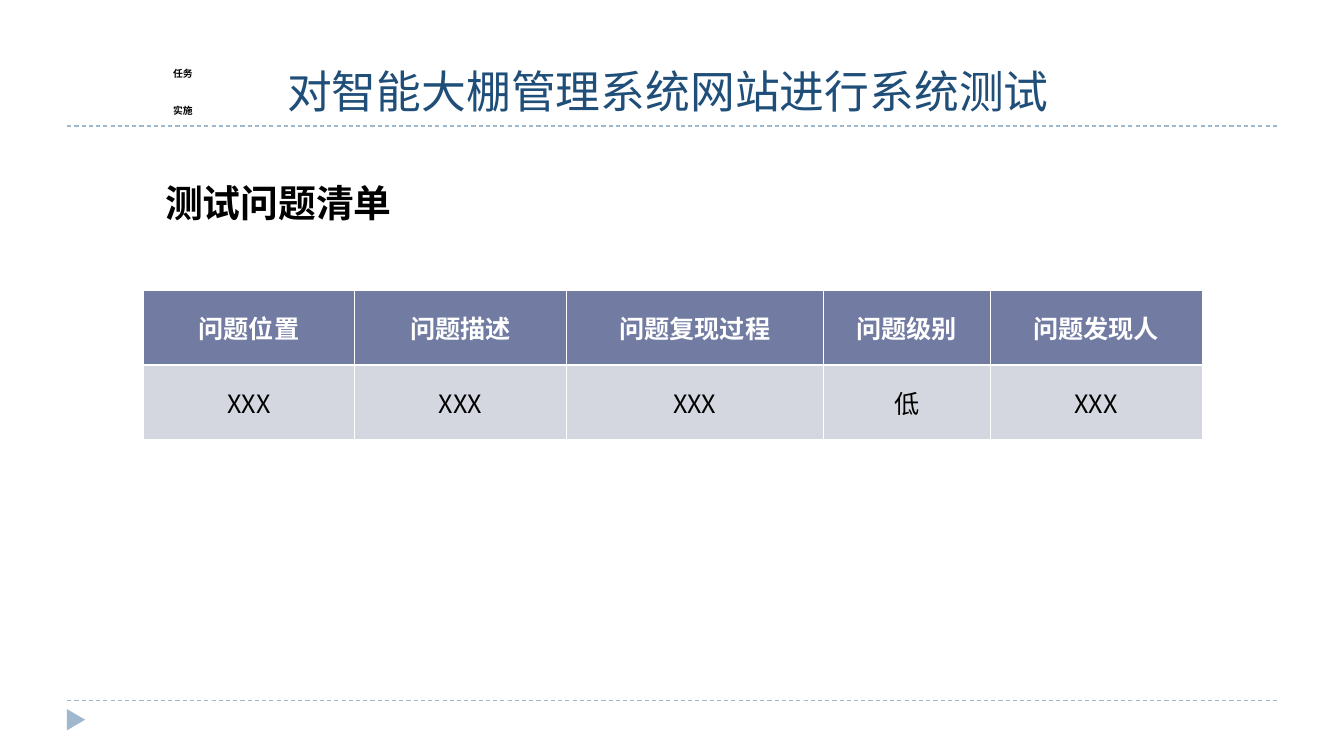
from lxml.etree import SubElement
from pptx import Presentation
from pptx.dml.color import RGBColor
from pptx.enum.dml import MSO_LINE
from pptx.enum.shapes import MSO_CONNECTOR, MSO_SHAPE
from pptx.enum.text import MSO_ANCHOR, MSO_AUTO_SIZE, PP_ALIGN
from pptx.oxml.ns import qn
from pptx.util import Inches, Pt

SLIDE_WIDTH, SLIDE_HEIGHT = 13.34, 7.5
COLORS = {"rule": "9FB8CD", "title": "1F4E79", "text": "000000", "white": "FFFFFF",
          "header": "727CA3", "body": "D5D7E0"}
SANS_SC, SANS_JP = "Noto Sans CJK SC", "Noto Sans CJK JP"

TITLE = "对智能大棚管理系统网站进行系统测试"
TAG_LINES = ["任务", "实施"]
HEADING = "测试问题清单"
ISSUES = [
    ["问题位置", "问题描述", "问题复现过程", "问题级别", "问题发现人"],
    ["XXX", "XXX", "XXX", "低", "XXX"],
]
COLUMN_WIDTHS = [2.1, 2.1, 2.55, 1.66, 2.1]
ROW_HEIGHT = 0.74
RULE_LEFT, RULE_RIGHT = 0.05 * SLIDE_WIDTH, 0.95 * SLIDE_WIDTH
RULE_HEIGHTS = [6.95, 1.25]
THIN, THICK = 0.45, 1.47

TAG_FRAME = {"vertical_anchor": MSO_ANCHOR.BOTTOM}
TITLE_FRAME = {"vertical_anchor": MSO_ANCHOR.TOP, "margin_top": 0, "margin_bottom": 0,
               "auto_size": MSO_AUTO_SIZE.SHAPE_TO_FIT_TEXT}
HEADING_FRAME = {"vertical_anchor": MSO_ANCHOR.TOP, "margin_top": 0}


def color(name):
    return RGBColor.from_string(COLORS[name])


def set_attributes(target, values):
    for name, value in values.items():
        setattr(target, name, value)


def write(frame, lines, size, color_name, bold=False, font=SANS_SC, **paragraph_format):
    for index, line in enumerate(lines):
        paragraph = frame.add_paragraph() if index else frame.paragraphs[0]
        set_attributes(paragraph, paragraph_format)
        run = paragraph.add_run()
        run.text = line
        set_attributes(run.font, {"size": Pt(size), "bold": bold, "name": font})
        run.font.color.rgb = color(color_name)
        east_asian = SubElement(run.font._element, qn("a:ea"))
        east_asian.set("typeface", font)


def place(shape, left, top, width, height, frame_format):
    set_attributes(shape, {"left": Inches(left), "top": Inches(top),
                           "width": Inches(width), "height": Inches(height)})
    set_attributes(shape.text_frame, {"word_wrap": True, **frame_format})
    return shape.text_frame


def add_text_box(slide, left, top, width, height, frame_format):
    return place(slide.shapes.add_textbox(0, 0, 0, 0), left, top, width, height, frame_format)


def add_rule(slide, height):
    rule = slide.shapes.add_connector(MSO_CONNECTOR.STRAIGHT, Inches(RULE_LEFT), Inches(height),
                                      Inches(RULE_RIGHT), Inches(height))
    set_attributes(rule.line, {"width": Pt(0.75), "dash_style": MSO_LINE.DASH})
    rule.line.color.rgb = color("rule")
    SubElement(rule._element.spPr, qn("a:effectLst"))


def add_borders(cell, top, bottom):
    properties = cell._tc.get_or_add_tcPr()
    widths = {"lnL": THIN, "lnR": THIN, "lnT": top, "lnB": bottom}
    for index, (side, width) in enumerate(widths.items()):
        border = SubElement(properties, qn("a:" + side), w=str(Pt(width)))
        fill = SubElement(border, qn("a:solidFill"))
        SubElement(fill, qn("a:srgbClr"), val=COLORS["white"])
        properties.remove(border)
        properties.insert(index, border)


def add_issue_table(slide, left, top):
    table = slide.shapes.add_table(len(ISSUES), len(COLUMN_WIDTHS), Inches(left), Inches(top),
                                   Inches(sum(COLUMN_WIDTHS)),
                                   Inches(ROW_HEIGHT * len(ISSUES))).table
    for column, width in zip(table.columns, COLUMN_WIDTHS):
        column.width = Inches(width)
    for row_index, values in enumerate(ISSUES):
        is_header = row_index == 0
        table.rows[row_index].height = Inches(ROW_HEIGHT)
        for column_index, value in enumerate(values):
            cell = table.cell(row_index, column_index)
            cell.vertical_anchor = MSO_ANCHOR.MIDDLE
            cell.fill.solid()
            cell.fill.fore_color.rgb = color("header" if is_header else "body")
            write(cell.text_frame, [value], 18, "white" if is_header else "text",
                  bold=is_header, alignment=PP_ALIGN.CENTER)
            add_borders(cell, *((THIN, THICK) if is_header else (THICK, THIN)))


def main():
    presentation = Presentation()
    set_attributes(presentation, {"slide_width": Inches(SLIDE_WIDTH),
                                  "slide_height": Inches(SLIDE_HEIGHT)})
    slide = presentation.slides.add_slide(presentation.slide_layouts[5])

    for height in RULE_HEIGHTS:
        add_rule(slide, height)
    marker = slide.shapes.add_shape(MSO_SHAPE.ISOSCELES_TRIANGLE, Inches(0.65), Inches(7.05),
                                    Inches(0.21), Inches(0.18))
    marker.rotation = 90
    marker.shadow.inherit = False
    marker.fill.solid()
    marker.fill.fore_color.rgb = color("rule")
    marker.line.fill.background()

    tag = add_text_box(slide, 1.62, 0.55, 1.46, 0.65, TAG_FRAME)
    write(tag, TAG_LINES, 7, "text", bold=True, font=SANS_JP, line_spacing=Pt(26))
    title = place(slide.shapes.title, 2.75, 0.63, 9.33, 0.64, TITLE_FRAME)
    write(title, [TITLE], 32, "title", alignment=PP_ALIGN.LEFT)
    heading = add_text_box(slide, 1.42, 1.78, 5.02, 0.65, HEADING_FRAME)
    heading.paragraphs[0]._p.get_or_add_pPr().set("marL", str(Inches(0.12)))
    write(heading, [HEADING], 27, "text", bold=True)
    add_issue_table(slide, 1.42, 2.88)

    presentation.save("out.pptx")


if __name__ == "__main__":
    main()
